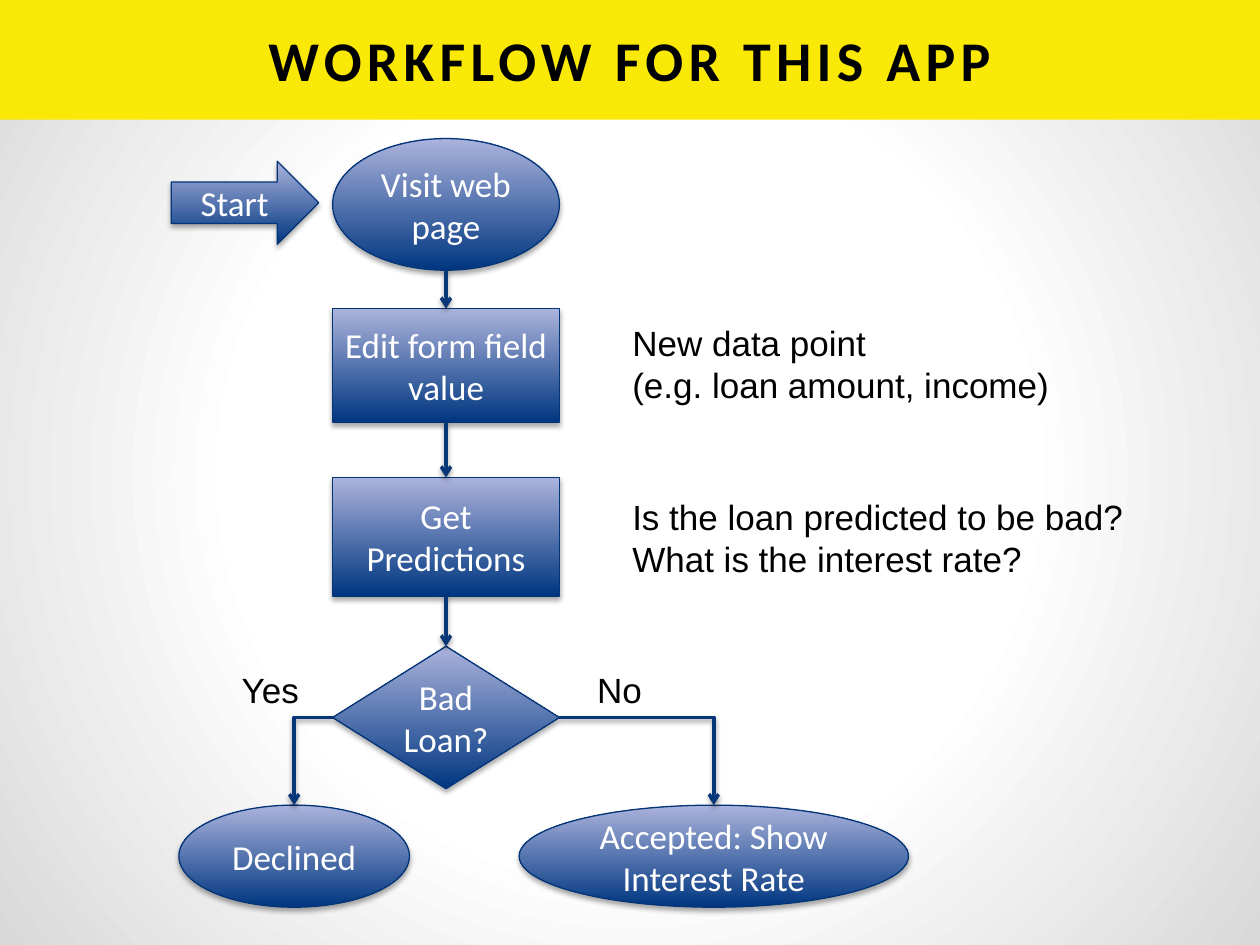
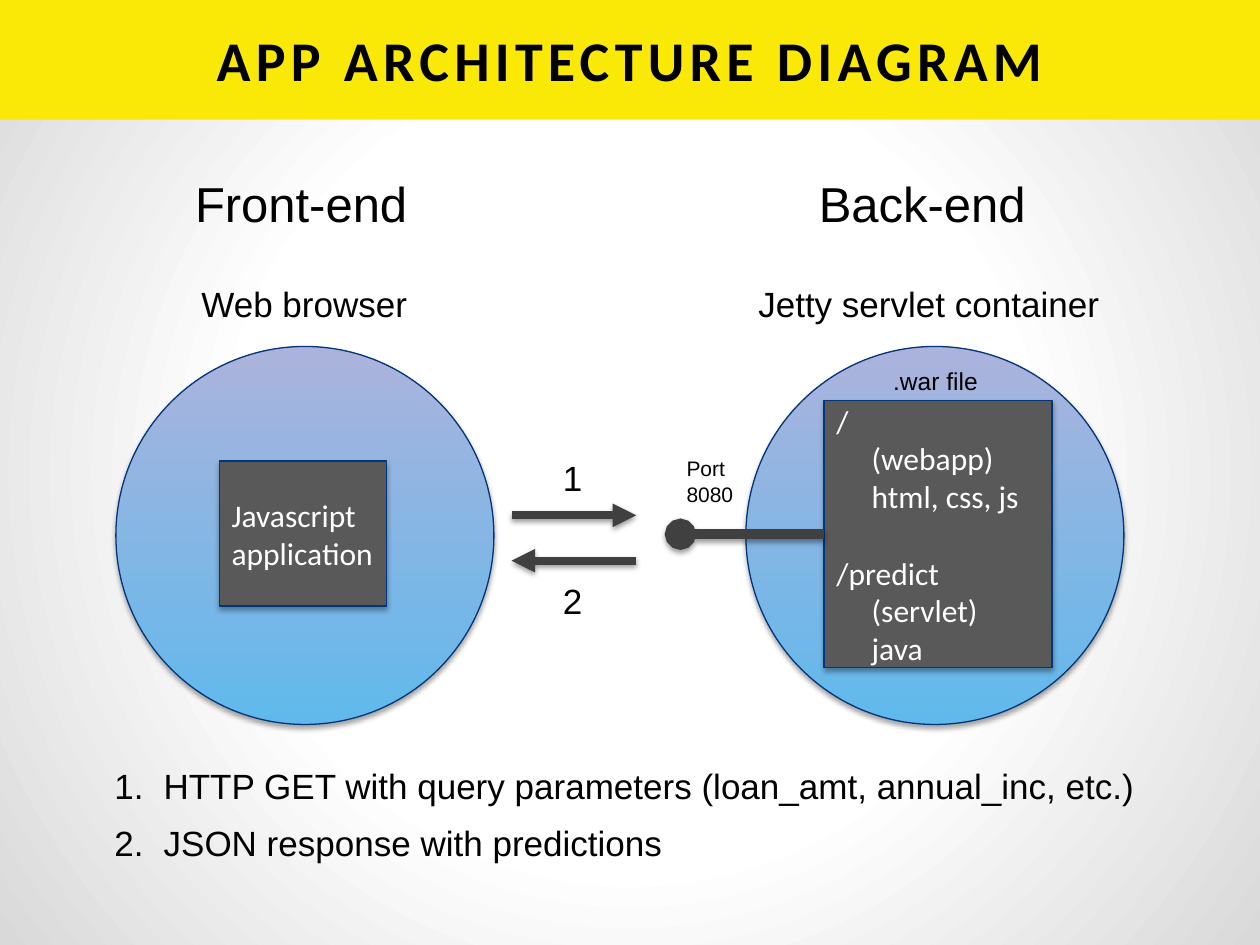
import pptx
import pptx.dml.color
import pptx.enum.shapes
import pptx.enum.text
import pptx.oxml
import pptx.oxml.ns
import pptx.util

colour = pptx.dml.color.RGBColor.from_string
SHAPE = pptx.enum.shapes.MSO_SHAPE
CONNECTOR = pptx.enum.shapes.MSO_CONNECTOR
ALIGN = pptx.enum.text.PP_ALIGN
ANCHOR = pptx.enum.text.MSO_ANCHOR
NAMESPACE = pptx.oxml.ns.nsdecls("a")

YELLOW, BLACK, WHITE = "FAE807", "000000", "FFFFFF"
OUTLINE, ARROW, CHARCOAL = "043579", "073779", "404040"
NAVY_FADE, SKY_FADE, GREY = ("003680", "ABB3DC"), ("60B9EC", "ABB3DC"), ("595959",)

deck = pptx.Presentation()
deck.slide_width = pptx.util.Inches(10)
deck.slide_height = pptx.util.Inches(7.5)
COLUMN = deck.slide_width / 100
ROW = deck.slide_height / 75


def grid(*lengths):
    return [round(length * (ROW if i % 2 else COLUMN)) for i, length in enumerate(lengths)]


def write(box, text, size, font, ink, align):
    box.text_frame.text = text
    for para in box.text_frame.paragraphs:
        para.alignment = align
        for span in para.runs:
            span.font.size = pptx.util.Pt(size)
            span.font.name = font
            span.font.color.rgb = colour(ink)


master = deck.slide_master
master.background.fill.solid()
backdrop = master.element.cSld.bg.bgPr
backdrop.replace(backdrop[0], pptx.oxml.parse_xml(
    f'<a:gradFill {NAMESPACE} rotWithShape="1"><a:gsLst>'
    '<a:gs pos="50000"><a:srgbClr val="FFFFFF"/></a:gs>'
    '<a:gs pos="100000"><a:srgbClr val="D9D9D9"><a:alpha val="41000"/></a:srgbClr></a:gs>'
    '</a:gsLst><a:path path="circle">'
    '<a:fillToRect l="50000" t="50000" r="50000" b="50000"/></a:path></a:gradFill>'))

layout = deck.slide_layouts[5]
pages = []
for heading in ("WORKFLOW FOR THIS APP", "APP ARCHITECTURE DIAGRAM"):
    page = deck.slides.add_slide(layout)
    title = page.shapes.title
    title.left, title.top, title.width, title.height = grid(5, -0.1, 90, 9.6)
    title.text_frame.vertical_anchor = ANCHOR.MIDDLE
    write(title, heading, 32, "Calibri", BLACK, ALIGN.CENTER)
    title.text_frame.paragraphs[0].runs[0].font.bold = True
    title.element.xpath(".//a:rPr")[0].set("spc", "300")
    pages.append(page)
workflow, architecture = pages

band = workflow.shapes.add_shape(SHAPE.RECTANGLE, *grid(0, 0, 100, 9.5))
band.fill.solid()
band.fill.fore_color.rgb = colour(YELLOW)
band.line.fill.background()
band.shadow.inherit = False
band.element.nvSpPr.cNvPr.set("id", "99")
layout.element.cSld.spTree.insert(2, band.element)

WAR_TEXT = "/\n(webapp)\nhtml, css, js\n/predict\n(servlet)\njava"
nodes = [
    ("edit", workflow, SHAPE.FLOWCHART_PROCESS, (26.4, 24.5, 18, 9), NAVY_FADE, "Edit form field value"),
    ("predict", workflow, SHAPE.FLOWCHART_PROCESS, (26.4, 37.9, 18, 9.4), NAVY_FADE, "Get Predictions"),
    ("decide", workflow, SHAPE.FLOWCHART_DECISION, (26.4, 51.3, 18, 11.3), NAVY_FADE, "Bad Loan?"),
    ("visit", workflow, SHAPE.OVAL, (26.4, 11, 18, 10.45), NAVY_FADE, "Visit web page"),
    ("declined", workflow, SHAPE.OVAL, (14.2, 63.9, 18.3, 8.1), NAVY_FADE, "Declined"),
    ("accepted", workflow, SHAPE.OVAL, (41.2, 63.9, 30.9, 8.1), NAVY_FADE, "Accepted: Show Interest Rate"),
    ("start", workflow, SHAPE.RIGHT_ARROW, (13.6, 12.8, 11.7, 6.6), NAVY_FADE, "Start"),
    ("server", architecture, SHAPE.OVAL, (59.2, 27.5, 30, 30), SKY_FADE, ""),
    ("war", architecture, SHAPE.RECTANGLE, (65.4, 31.8, 18.1, 21.2), GREY, WAR_TEXT),
    ("browser", architecture, SHAPE.OVAL, (9.2, 27.5, 30, 30), SKY_FADE, ""),
    ("script", architecture, SHAPE.RECTANGLE, (17.4, 36.6, 13.3, 11.5), GREY, "Javascript\napplication"),
]
shadowed = []
boxes = {}
for name, page, kind, place, fill, text in nodes:
    box = page.shapes.add_shape(kind, *grid(*place))
    if len(fill) == 1:
        box.fill.solid()
        box.fill.fore_color.rgb = colour(fill[0])
    else:
        box.fill.gradient()
        box.fill.gradient_angle = 90
        for stop, shade in zip(box.fill.gradient_stops, fill):
            stop.color.rgb = colour(shade)
    box.line.color.rgb = colour(OUTLINE)
    box.line.width = pptx.util.Pt(0.75)
    if text and fill == GREY:
        write(box, text, 18, "Calibri", WHITE, ALIGN.LEFT)
    elif text:
        write(box, text, 20, "Calibri", WHITE, ALIGN.CENTER)
    boxes[name] = box
    shadowed.append((box, 35, 1.8))

for para, element in zip(boxes["war"].text_frame.paragraphs, boxes["war"].element.xpath(".//a:p")):
    if not para.text.startswith("/"):
        element.get_or_add_pPr().set("marL", str(round(2.8 * COLUMN)))
    elif para.text == "/predict":
        para.space_before = pptx.util.Pt(22)

links = [
    (workflow, CONNECTOR.STRAIGHT, (35.4, 21.45, 35.4, 24.5), None, ("edit", 0), ARROW, 2, "arrow"),
    (workflow, CONNECTOR.STRAIGHT, (35.4, 33.5, 35.4, 37.9), ("edit", 2), ("predict", 0), ARROW, 2, "arrow"),
    (workflow, CONNECTOR.STRAIGHT, (35.4, 47.3, 35.4, 51.3), ("predict", 2), ("decide", 0), ARROW, 2, "arrow"),
    (workflow, CONNECTOR.ELBOW, (26.4, 56.95, 23.35, 63.9), None, None, ARROW, 2, "arrow"),
    (workflow, CONNECTOR.ELBOW, (44.4, 56.95, 56.65, 63.9), None, None, ARROW, 2, "arrow"),
    (architecture, CONNECTOR.STRAIGHT, (65.4, 42.4, 54, 42.4), ("war", 1), None, CHARCOAL, 6, "oval"),
    (architecture, CONNECTOR.STRAIGHT, (40.6, 40.9, 50.5, 40.9), None, None, CHARCOAL, 4.5, "triangle"),
    (architecture, CONNECTOR.STRAIGHT, (50.5, 44.5, 40.6, 44.5), None, None, CHARCOAL, 4.5, "triangle"),
]
for page, kind, ends, source, target, ink, weight, tip in links:
    link = page.shapes.add_connector(kind, *grid(*ends))
    if source:
        link.begin_connect(boxes[source[0]], source[1])
    if target:
        link.end_connect(boxes[target[0]], target[1])
    if kind == CONNECTOR.ELBOW:
        link.element.xpath(".//a:prstGeom")[0].set("prst", "bentConnector2")
    link.line.color.rgb = colour(ink)
    link.line.width = pptx.util.Pt(weight)
    link.element.spPr.ln.append(pptx.oxml.parse_xml(f'<a:tailEnd {NAMESPACE} type="{tip}"/>'))
    shadowed.append((link, 38, 1.6))

for item, opacity, distance in shadowed:
    item.element.spPr.append(pptx.oxml.parse_xml(
        f'<a:effectLst {NAMESPACE}><a:outerShdw blurRad="{pptx.util.Pt(3.1)}" '
        f'dist="{pptx.util.Pt(distance)}" dir="5400000" rotWithShape="0">'
        f'<a:srgbClr val="{BLACK}"><a:alpha val="{opacity * 1000}"/></a:srgbClr>'
        '</a:outerShdw></a:effectLst>'))

labels = [
    (workflow, (18.2, 52.6, 6.9, 4.4), 20, "Yes"),
    (workflow, (46.4, 52.6, 5.6, 4.4), 20, "No"),
    (workflow, (49.2, 25, 35.4, 7.7), 20, "New data point\n(e.g. loan amount, income)"),
    (workflow, (49.2, 38.8, 41.3, 7.7), 20, "Is the loan predicted to be bad?\nWhat is the interest rate?"),
    (architecture, (14.5, 13.3, 19, 5.7), 28, "Front-end"),
    (architecture, (64, 13.3, 18.6, 5.7), 28, "Back-end"),
    (architecture, (15, 21.9, 18.6, 4.4), 20, "Web browser"),
    (architecture, (59.2, 21.9, 29.4, 4.4), 20, "Jetty servlet container"),
    (architecture, (69.9, 28.6, 8.8, 3.4), 14, ".war file"),
    (architecture, (53.5, 35.7, 5.8, 5), 12, "Port\n8080"),
    (architecture, (43.7, 35.7, 3.6, 4.4), 20, "1"),
    (architecture, (43.7, 45.5, 3.6, 4.4), 20, "2"),
]
steps = [
    (architecture, (8.1, 60.2, 83.7, 4.4), 20, "HTTP GET with query parameters (loan_amt, annual_inc, etc.)"),
    (architecture, (8.1, 64.7, 45.8, 4.4), 20, "JSON response with predictions"),
]
for page, place, size, text in labels + steps:
    label = page.shapes.add_textbox(*grid(*place))
    label.text_frame.word_wrap = False
    label.text_frame.auto_size = pptx.enum.text.MSO_AUTO_SIZE.SHAPE_TO_FIT_TEXT
    write(label, text, size, "Arial", BLACK, ALIGN.LEFT)
    for number, step in enumerate(steps, 1):
        if step[3] == text:
            properties = label.element.xpath(".//a:p")[0].get_or_add_pPr()
            properties.set("marL", str(round(3.9 * COLUMN)))
            properties.set("indent", str(round(-3.9 * COLUMN)))
            properties.append(pptx.oxml.parse_xml(
                f'<a:buAutoNum {NAMESPACE} type="arabicPeriod" startAt="{number}"/>'))

deck.save("out.pptx")
